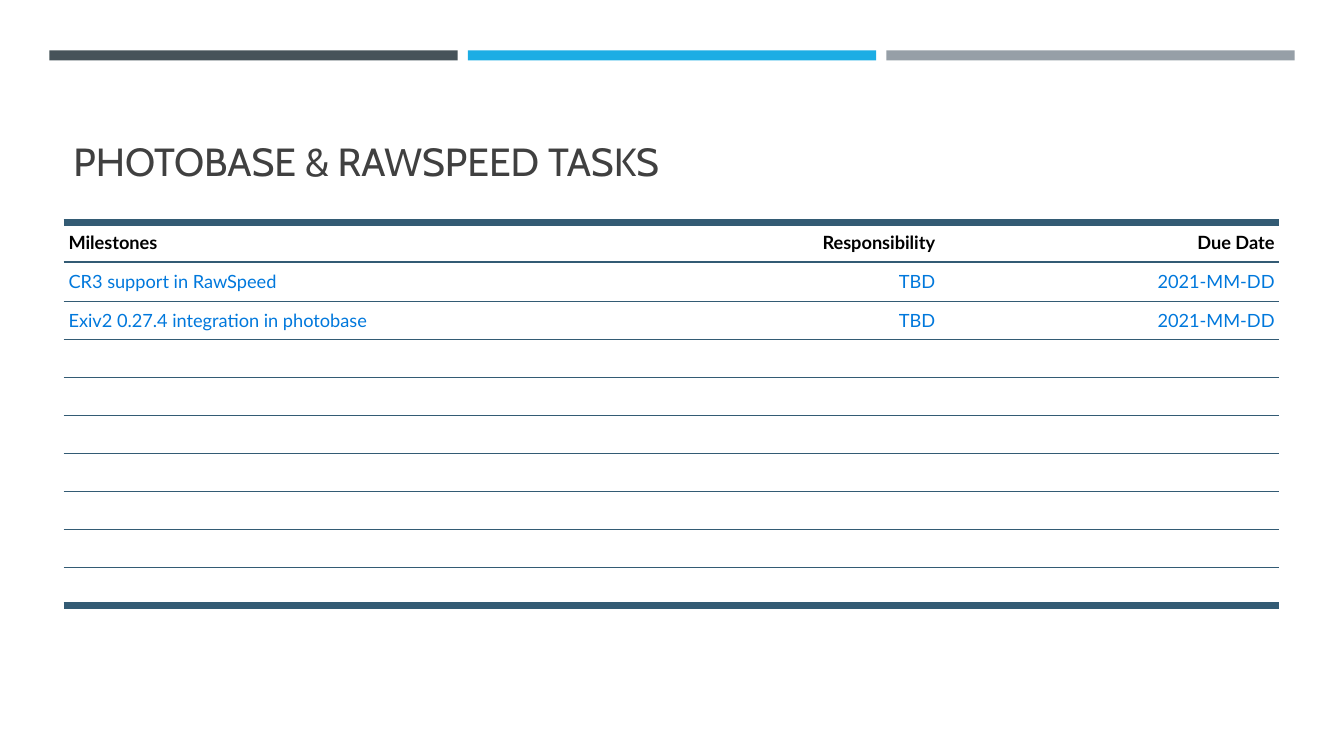
from lxml.etree import SubElement
from pptx import Presentation
from pptx.dml.color import RGBColor
from pptx.enum.shapes import MSO_SHAPE
from pptx.enum.text import MSO_ANCHOR, PP_ALIGN
from pptx.oxml.ns import qn
from pptx.util import Inches, Pt

SLATE = RGBColor(0x46, 0x53, 0x59)
CYAN = RGBColor(0x1C, 0xAD, 0xE4)
GREY = RGBColor(0x96, 0x9F, 0xA7)
CHARCOAL = RGBColor(0x40, 0x40, 0x40)
BLACK = RGBColor(0, 0, 0)
BLUE = RGBColor(0x00, 0x78, 0xDC)
NAVY = RGBColor(0x33, 0x5B, 0x74)

TASKS = [
    ("Milestones", "Responsibility", "Due Date"),
    ("CR3 support in RawSpeed", "TBD", "2021-MM-DD"),
    ("Exiv2 0.27.4 integration in photobase", "TBD", "2021-MM-DD"),
]
ROW_COUNT = 10
COLUMN_WIDTHS = [5.33, 3.365, 3.365]


def add_bar(s, left, color):
    sp = s.shapes.add_shape(MSO_SHAPE.RECTANGLE, Inches(left), Inches(0.5),
                            Inches(4.05), Inches(0.1))
    sp.shadow.inherit = False
    sp.fill.solid()
    sp.fill.fore_color.rgb = color
    sp.line.fill.background()


def add_run(p, text, font, size, color, bold=False):
    r = p.add_run()
    r.text = text
    r.font.name = font
    r.font.size = Pt(size)
    r.font.color.rgb = color
    r.font.bold = bold


def add_title(s, text):
    tf = s.shapes.add_textbox(Inches(0.63), Inches(0.8),
                              Inches(12.06), Inches(1.08)).text_frame
    tf.word_wrap = True
    tf.vertical_anchor = MSO_ANCHOR.BOTTOM
    add_run(tf.paragraphs[0], text, "Cabin", 28, CHARCOAL)


def set_border(cell, side, width):
    tcPr = cell._tc.get_or_add_tcPr()
    ln = SubElement(tcPr, qn(f"a:ln{side}"), w=str(Pt(width)))
    if width:
        fill = SubElement(ln, qn("a:solidFill"))
        SubElement(fill, qn("a:srgbClr"), val=str(NAVY))
    else:
        SubElement(ln, qn("a:noFill"))


def format_cell(cell, row):
    cell.margin_left = cell.margin_right = Inches(0.05)
    cell.margin_top = cell.margin_bottom = Inches(0.08)
    cell.vertical_anchor = MSO_ANCHOR.MIDDLE
    top = 6 if row == 0 else 1
    bottom = 6 if row == ROW_COUNT - 1 else 1
    for side, width in zip("LRTB", (0, 0, top, bottom)):
        set_border(cell, side, width)
    cell.fill.background()


def add_task_table(s):
    table = s.shapes.add_table(ROW_COUNT, len(COLUMN_WIDTHS), Inches(0.63), Inches(2.21),
                               Inches(12.06), Inches(3.78)).table
    table.first_row = table.horz_banding = False
    for column, width in zip(table.columns, COLUMN_WIDTHS):
        column.width = Inches(width)
    for i, row in enumerate(table.rows):
        row.height = Inches(0.39 if i < 2 else 0.375)
        for j, cell in enumerate(row.cells):
            format_cell(cell, i)
            p = cell.text_frame.paragraphs[0]
            if i < len(TASKS):
                p.alignment = PP_ALIGN.RIGHT if j else PP_ALIGN.LEFT
                add_run(p, TASKS[i][j], "Lato", 13, BLUE if i else BLACK, i == 0)
            else:
                end = SubElement(p._p, qn("a:endParaRPr"), sz="1300")
                SubElement(end, qn("a:latin"), typeface="Lato")


def main():
    prs = Presentation()
    prs.slide_width, prs.slide_height = Inches(13.33), Inches(7.5)
    s = prs.slides.add_slide(prs.slide_layouts[6])
    for i, color in enumerate((SLATE, CYAN, GREY)):
        add_bar(s, 0.49 + i * 4.15, color)
    add_title(s, "PHOTOBASE & RAWSPEED TASKS")
    add_task_table(s)
    prs.save("out.pptx")


if __name__ == "__main__":
    main()
